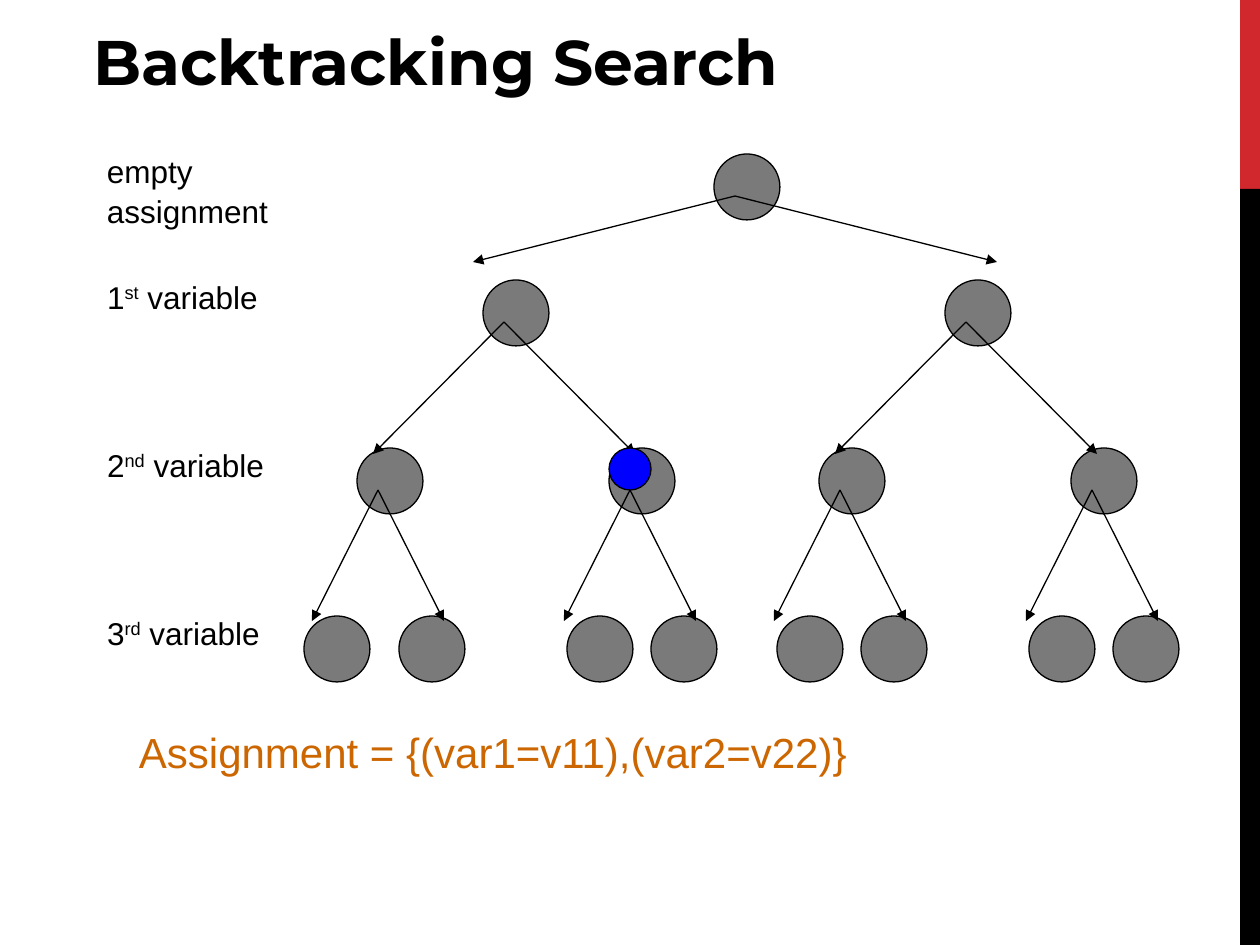
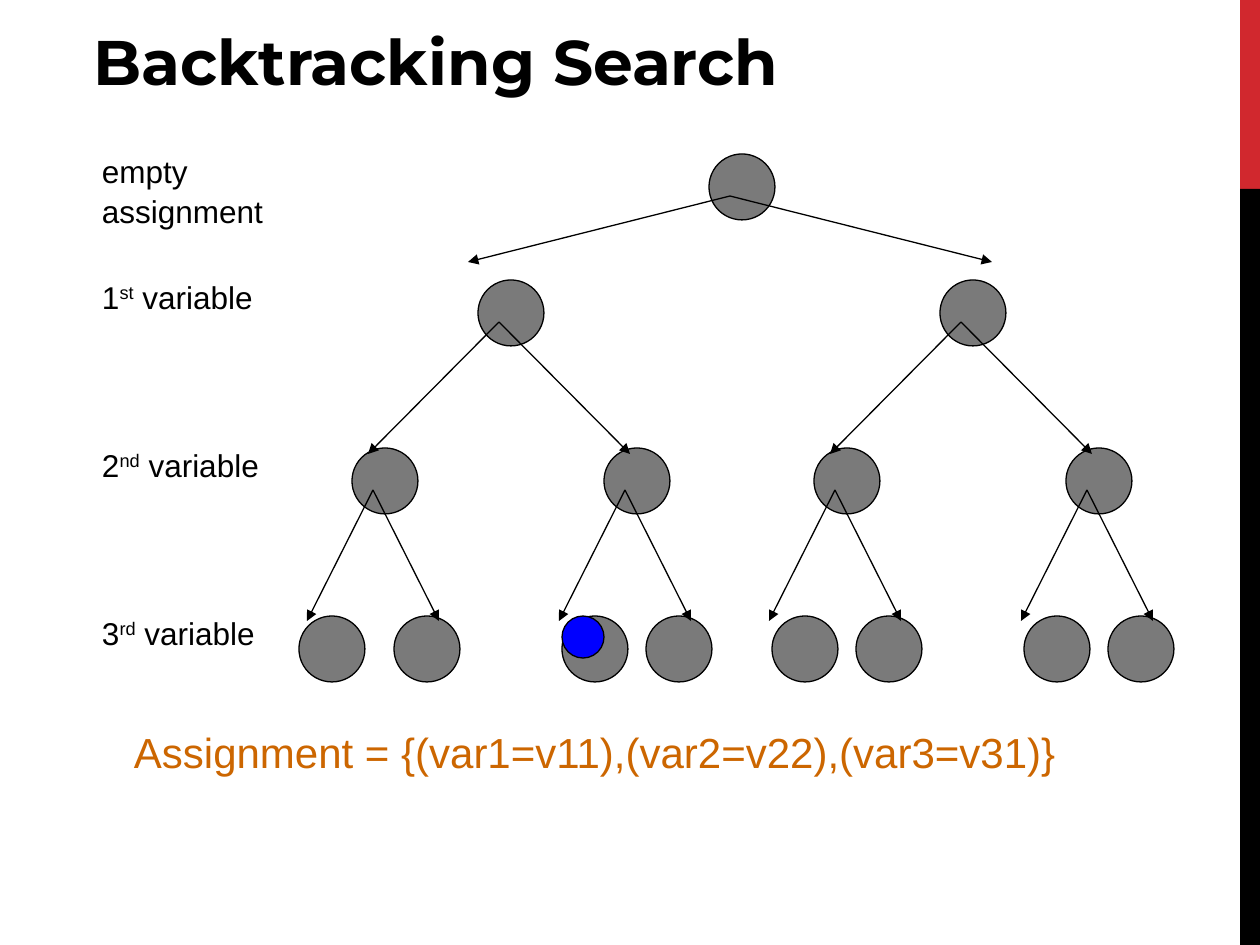
"""Builds two slides that follow a backtracking search down a tree of assignments."""
from lxml import etree
from pptx import Presentation
from pptx.dml.color import RGBColor
from pptx.enum.shapes import MSO_CONNECTOR, MSO_SHAPE
from pptx.enum.text import MSO_ANCHOR, MSO_AUTO_SIZE, PP_ALIGN
from pptx.oxml.ns import qn
from pptx.util import Pt

ELLIPSE, RECTANGLE = MSO_SHAPE.OVAL, MSO_SHAPE.RECTANGLE
STRAIGHT = MSO_CONNECTOR.STRAIGHT
LEFT, TOP, BOTTOM = PP_ALIGN.LEFT, MSO_ANCHOR.TOP, MSO_ANCHOR.BOTTOM
NO_FIT = MSO_AUTO_SIZE.NONE

PX = 914400 / 126
PAGE_WIDTH, PAGE_HEIGHT = 1260, 945
BAND_LEFT, BAND_SPLIT = 1240, 189
COLORS = {
    "ink": "000000",
    "accent": "D1282E",
    "node": "7A7A7A",
    "marker": "0000FF",
    "assignment": "CC6600",
}

NODE_SIZE, MARKER_SIZE = 66, 42
FORK_X, FORK_Y = 21, 42
LABEL_LEFT, LABEL_RISE = 94, 10
LEVELS = [
    {"top": 154, "lefts": [714], "spread": 262, "drop": 66,
     "label": ["empty assignment"], "label_width": 262},
    {"top": 280, "lefts": [483, 945], "spread": 131, "drop": 132,
     "label": ["1", "st", " variable"], "label_width": 197},
    {"top": 448, "lefts": [357, 609, 819, 1071], "spread": 66, "drop": 131,
     "label": ["2", "nd", " variable"], "label_width": 197},
    {"top": 616, "lefts": [304, 399, 567, 651, 777, 861, 1029, 1113],
     "label": ["3", "rd", " variable"], "label_width": 197},
]
STEPS = [
    {"shift": 0, "current": (2, 1), "width": 771,
     "assignment": "Assignment = {(var1=v11),(var2=v22)}"},
    {"shift": -5, "current": (3, 2), "width": 995,
     "assignment": "Assignment = {(var1=v11),(var2=v22),(var3=v31)}"},
]


def emu(length):
    return round(length * PX)


def color(name):
    return RGBColor.from_string(COLORS[name])


def write(para, text, font="Arial", size=18, ink="ink", bold=False, raised=False):
    span = para.add_run()
    span.text = text
    span.font.name = font
    span.font.size = Pt(size)
    span.font.bold = bold
    span.font.color.rgb = color(ink)
    if raised:
        span.font._element.set("baseline", "30000")


class SearchDeck:
    def __init__(self):
        self.deck = Presentation()
        self.deck.slide_width = emu(PAGE_WIDTH)
        self.deck.slide_height = emu(PAGE_HEIGHT)
        self.page = None

    def add_page(self, title):
        self.page = self.deck.slides.add_slide(self.deck.slide_layouts[5])
        band_width = PAGE_WIDTH - BAND_LEFT
        self.shape(RECTANGLE, BAND_LEFT, 0, band_width, BAND_SPLIT, "accent")
        self.shape(RECTANGLE, BAND_LEFT, BAND_SPLIT, band_width,
                   PAGE_HEIGHT - BAND_SPLIT, "ink")
        box = self.page.shapes.title
        box.left, box.top, box.width, box.height = map(emu, (63, 21, 1106, 83))
        para = self.frame(box, BOTTOM, inset=30)
        write(para, title, font="Montserrat", size=36, bold=True)

    def frame(self, box, anchor, inset=13):
        frame = box.text_frame
        frame.word_wrap = True
        frame.auto_size = NO_FIT
        frame.vertical_anchor = anchor
        frame.margin_left, frame.margin_right = emu(inset), emu(13)
        frame.margin_top = frame.margin_bottom = emu(6)
        para = frame.paragraphs[0]
        para.alignment = LEFT
        return para

    def shape(self, kind, left, top, width, height, fill, outlined=False):
        shape = self.page.shapes.add_shape(kind, *map(emu, (left, top, width, height)))
        shape.shadow.inherit = False
        shape.fill.solid()
        shape.fill.fore_color.rgb = color(fill)
        if outlined:
            shape.line.color.rgb = color("ink")
            shape.line.width = Pt(0.75)
        else:
            shape.line.fill.background()

    def circle(self, left, top, size, fill):
        self.shape(ELLIPSE, left, top, size, size, fill, outlined=True)

    def arrow(self, start_x, start_y, end_x, end_y):
        arrow = self.page.shapes.add_connector(
            STRAIGHT, *map(emu, (start_x, start_y, end_x, end_y)))
        arrow.line.color.rgb = color("ink")
        arrow.line.width = Pt(0.75)
        etree.SubElement(arrow.line._get_or_add_ln(), qn("a:tailEnd"), type="triangle")
        etree.SubElement(arrow._element.spPr, qn("a:effectLst"))

    def text(self, left, top, width, height, parts, **style):
        box = self.page.shapes.add_textbox(*map(emu, (left, top, width, height)))
        para = self.frame(box, TOP)
        para.line_spacing = 1.05
        for index, part in enumerate(parts):
            write(para, part, raised=index == 1, **style)

    def tree(self, shift):
        for level in LEVELS:
            for left in level["lefts"]:
                self.circle(left + shift, level["top"], NODE_SIZE, "node")
        for level in LEVELS[:-1]:
            fork_y = level["top"] + FORK_Y
            for left in level["lefts"]:
                fork_x = left + FORK_X + shift
                for side in (-1, 1):
                    self.arrow(fork_x, fork_y, fork_x + side * level["spread"],
                               fork_y + level["drop"])
        for level in LEVELS:
            self.text(LABEL_LEFT + shift, level["top"] - LABEL_RISE,
                      level["label_width"], NODE_SIZE, level["label"])

    def marker(self, shift, depth, position):
        level = LEVELS[depth]
        self.circle(level["lefts"][position] + shift, level["top"], MARKER_SIZE, "marker")


def main():
    search = SearchDeck()
    for step in STEPS:
        shift = step["shift"]
        search.add_page("Backtracking Search")
        search.tree(shift)
        search.marker(shift, *step["current"])
        search.text(126 + shift, 718, step["width"], 63, [step["assignment"]],
                    size=24, ink="assignment")
    search.deck.save("out.pptx")


if __name__ == "__main__":
    main()
